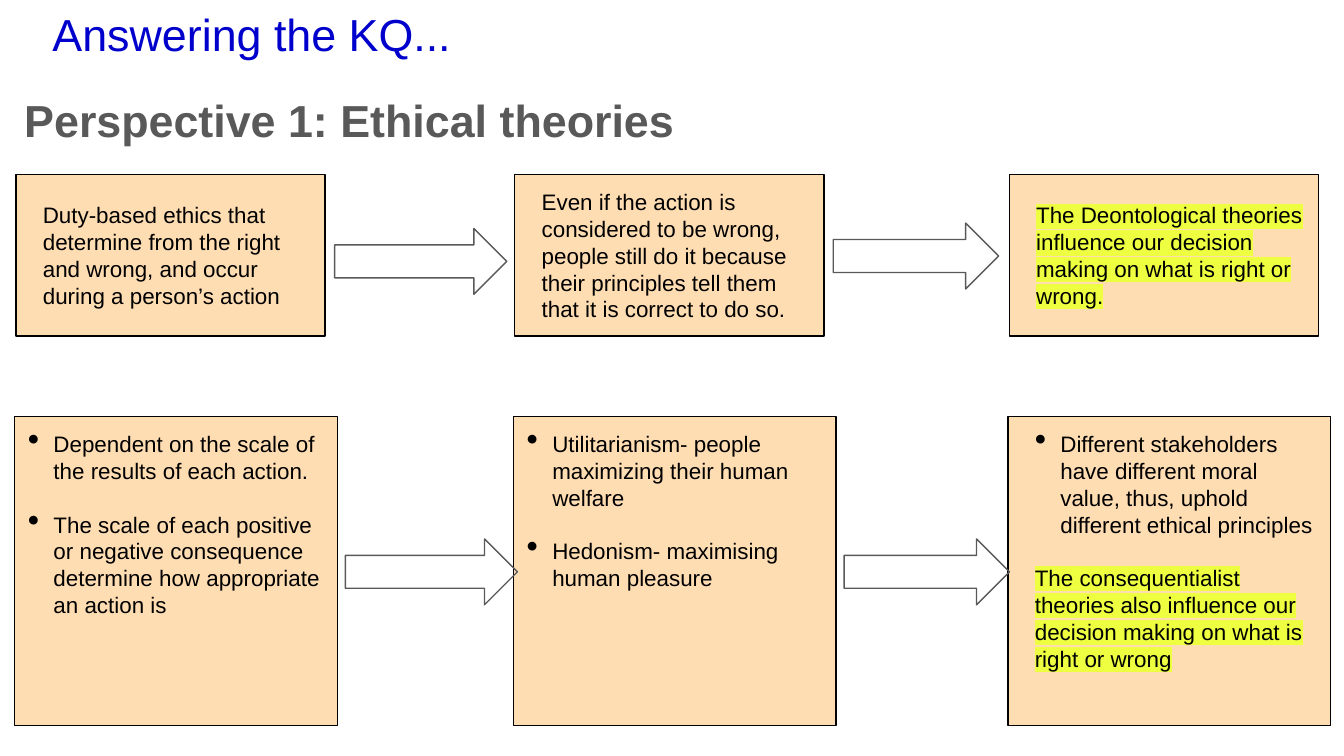
from lxml import etree
from pptx import Presentation
from pptx.dml.color import RGBColor
from pptx.enum.shapes import MSO_SHAPE
from pptx.enum.text import MSO_ANCHOR, PP_ALIGN
from pptx.oxml.ns import qn
from pptx.util import Pt

RECT, ARROW = MSO_SHAPE.RECTANGLE, MSO_SHAPE.RIGHT_ARROW
TOP, MIDDLE, LEFT = MSO_ANCHOR.TOP, MSO_ANCHOR.MIDDLE, PP_ALIGN.LEFT

BLUE = RGBColor(0x00, 0x00, 0xCC)
GREY = RGBColor(0x59, 0x59, 0x59)
BLACK = RGBColor(0x00, 0x00, 0x00)
PEACH = RGBColor(0xFF, 0xDD, 0xB3)
YELLOW = RGBColor(0xEE, 0xFF, 0x41)

INDENT = 13.7
BODY = {"name": "Arial", "size": Pt(12)}
HEAD = {"name": "Arial", "size": Pt(24)}

# Each paragraph: (text, bulleted, highlighted)
DUTY_ROW = [
    [("Duty-based ethics that determine from the right and wrong, "
      "and occur during a person’s action", False, False)],
    [("Even if the action is considered to be wrong, people still do it because "
      "their principles tell them that it is correct to do so.", False, False)],
    [("The Deontological theories influence our decision making on what is "
      "right or wrong.", False, True)],
]
CONSEQUENCE_ROW = [
    [("Dependent on the scale of the results of each action.", True, False),
     ("The scale of each positive or negative consequence determine how "
      "appropriate an action is", True, False)],
    [("Utilitarianism- people maximizing their human welfare", True, False),
     ("Hedonism- maximising human pleasure", True, False)],
    [("Different stakeholders have different moral value, thus, uphold "
      "different ethical principles", True, False),
     ("The consequentialist theories also influence our decision making on "
      "what is right or wrong", False, True)],
]


def set_frame(tf, anchor, left, other):
    tf.word_wrap = True
    tf.vertical_anchor = anchor
    insets = {"margin_left": left, "margin_top": other,
              "margin_right": other, "margin_bottom": other}
    for name, value in insets.items():
        setattr(tf, name, Pt(value))


def add_run(p, text, style, color):
    r = p.add_run()
    r.text = text
    for name, value in style.items():
        setattr(r.font, name, value)
    r.font.color.rgb = color
    return r


def add_bullet(p):
    pPr = p._p.get_or_add_pPr()
    pPr.set("marL", str(Pt(INDENT)))
    pPr.set("indent", str(-Pt(INDENT)))
    color = etree.SubElement(pPr, qn("a:buClr"))
    etree.SubElement(color, qn("a:srgbClr"), val=str(BLACK))
    etree.SubElement(pPr, qn("a:buSzPct"), val="150000")
    etree.SubElement(pPr, qn("a:buChar"), char="•")


def add_highlight(r):
    mark = etree.Element(qn("a:highlight"))
    etree.SubElement(mark, qn("a:srgbClr"), val=str(YELLOW))
    r.font._element.find(qn("a:solidFill")).addnext(mark)


def add_heading(s, box, text, style, color, spacing):
    tb = s.shapes.add_textbox(*map(Pt, box))
    set_frame(tb.text_frame, TOP, 3.6, 3.6)
    p = tb.text_frame.paragraphs[0]
    p.line_spacing = spacing
    add_run(p, text, style, color)


def add_outlined(s, kind, box, line):
    sp = s.shapes.add_shape(kind, *map(Pt, box))
    sp.shadow.inherit = False
    sp.line.color.rgb = line
    sp.line.width = Pt(0.75)
    return sp


def add_card(s, box, paragraphs, anchor, left, other):
    sp = add_outlined(s, RECT, box, BLACK)
    sp.fill.solid()
    sp.fill.fore_color.rgb = PEACH
    tf = sp.text_frame
    set_frame(tf, anchor, left, other)
    for i, (text, bulleted, highlighted) in enumerate(paragraphs):
        p = tf.add_paragraph() if i else tf.paragraphs[0]
        p.alignment = LEFT
        if i:
            p.space_before = Pt(14.4)
        if bulleted:
            add_bullet(p)
        r = add_run(p, text, BODY, BLACK)
        if highlighted:
            add_highlight(r)


def add_row(s, box, card_width, cards, anchor, lefts, other, arrows):
    """Three cards in a box, with an arrow (offset x, y, width) in each gap."""
    x, y, width, height = box
    offsets = (0, 267.2, width - card_width)
    for offset, paragraphs, left in zip(offsets, cards, lefts):
        add_card(s, (x + offset, y, card_width, height), paragraphs,
                 anchor, left, other)
    for dx, dy, arrow_width in arrows:
        arrow = add_outlined(s, ARROW, (x + dx, y + dy, arrow_width, 35.3), GREY)
        arrow.fill.background()


def main():
    prs = Presentation()
    prs.slide_width, prs.slide_height = Pt(720), Pt(405)
    s = prs.slides.add_slide(prs.slide_layouts[6])

    # Headings
    add_heading(s, (24.5, 0, 430, 35.3), "Answering the KQ...", HEAD, BLUE, 1)
    add_heading(s, (9.4, 41.8, 703.4, 35.3), "Perspective 1: Ethical theories",
                {**HEAD, "bold": True}, GREY, 1.15)

    # Duty-based theories
    add_row(s, (8.6, 93.6, 697.7, 86.4), 165.6, DUTY_ROW, MIDDLE,
            (14.4, 14.4, 14.4), 3.6, [(170.7, 28.8, 92.2), (437.8, 25.9, 88.6)])

    # Consequence-based theories
    add_row(s, (7.9, 223.2, 704.9, 165.6), 172.8, CONSEQUENCE_ROW, TOP,
            (7.2, 7.2, 14.4), 7.2, [(177.1, 65.5, 92.2), (444.3, 65.5, 88.6)])

    prs.save("out.pptx")


if __name__ == "__main__":
    main()
